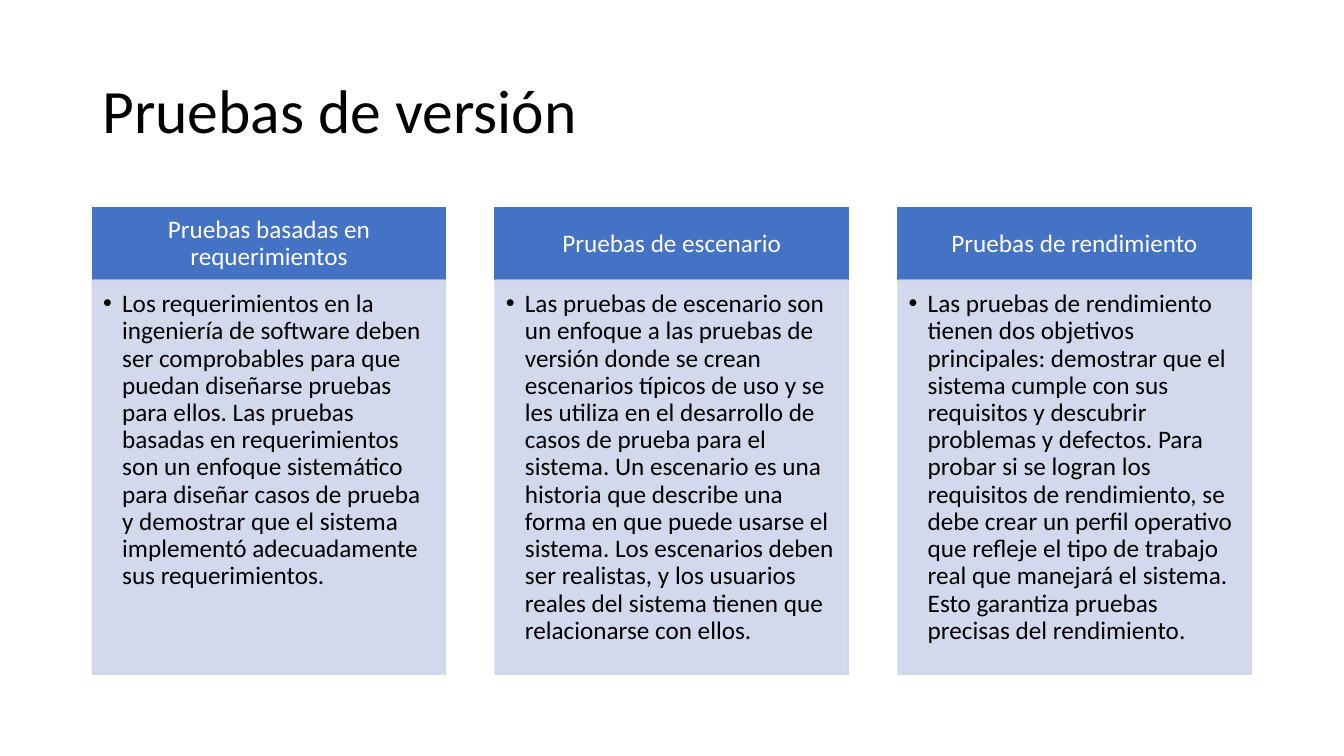
from dataclasses import dataclass

from lxml import etree
from pptx import Presentation
from pptx import util as u
from pptx.dml.color import RGBColor
from pptx.enum import shapes, text
from pptx.oxml import ns


@dataclass(frozen=True)
class Theme:
    font: str = "Calibri"
    ink: str = "000000"
    on_header: str = "FFFFFF"
    header: str = "4472C4"
    body: str = "CFD5EA"
    body_opacity: int = 90
    title_size: int = 44
    text_size: int = 18


THEME = Theme()
TITLE = "Pruebas de versión"
COLUMNS = [
    ("Pruebas basadas en requerimientos",
     "Los requerimientos en la ingeniería de software deben ser comprobables "
     "para que puedan diseñarse pruebas para ellos. Las pruebas basadas en "
     "requerimientos son un enfoque sistemático para diseñar casos de prueba y "
     "demostrar que el sistema implementó adecuadamente sus requerimientos."),
    ("Pruebas de escenario",
     "Las pruebas de escenario son un enfoque a las pruebas de versión donde se "
     "crean escenarios típicos de uso y se les utiliza en el desarrollo de casos "
     "de prueba para el sistema. Un escenario es una historia que describe una "
     "forma en que puede usarse el sistema. Los escenarios deben ser realistas, y "
     "los usuarios reales del sistema tienen que relacionarse con ellos."),
    ("Pruebas de rendimiento",
     "Las pruebas de rendimiento tienen dos objetivos principales: demostrar que "
     "el sistema cumple con sus requisitos y descubrir problemas y defectos. Para "
     "probar si se logran los requisitos de rendimiento, se debe crear un perfil "
     "operativo que refleje el tipo de trabajo real que manejará el sistema. Esto "
     "garantiza pruebas precisas del rendimiento."),
]


def write(sp, words, size, color, align, anchor, margins):
    """Fill a shape with one paragraph; margins are left, top, right, bottom in cm."""
    tf = sp.text_frame
    frame = {"word_wrap": True, "vertical_anchor": anchor}
    sides = ("left", "top", "right", "bottom")
    frame.update({f"margin_{side}": u.Cm(m) for side, m in zip(sides, margins)})
    for name, value in frame.items():
        setattr(tf, name, value)
    p = tf.paragraphs[0]
    p.alignment, p.line_spacing = align, 0.9
    r = p.add_run()
    r.text = words
    for name, value in {"name": THEME.font, "size": u.Pt(size)}.items():
        setattr(r.font, name, value)
    r.font.color.rgb = RGBColor.from_string(color)
    return p


def add_bullet(p, indent):
    pPr = p._p.get_or_add_pPr()
    pPr.set("marL", str(indent))
    pPr.set("indent", str(-indent))
    etree.SubElement(pPr, ns.qn("a:buFont")).set("typeface", "Arial")
    etree.SubElement(pPr, ns.qn("a:buChar")).set("char", "•")


def add_panel(slide, box, color, opacity=100):
    sp = slide.shapes.add_shape(shapes.MSO_SHAPE.RECTANGLE, *map(u.Cm, box))
    sp.shadow.inherit = False
    sp.fill.solid()
    sp.line.width = u.Pt(1)
    for paint in (sp.fill.fore_color, sp.line.color):
        paint.rgb = RGBColor.from_string(color)
    if opacity < 100:
        for clr in sp._element.spPr.iter(ns.qn("a:srgbClr")):
            etree.SubElement(clr, ns.qn("a:alpha")).set("val", str(opacity * 1000))
    return sp


def add_title(slide, box, words):
    sp = slide.shapes.add_textbox(*map(u.Cm, box))
    write(sp, words, THEME.title_size, THEME.ink, text.PP_ALIGN.LEFT,
          text.MSO_ANCHOR.MIDDLE, (0.25, 0.13, 0.25, 0.13))


def add_column(slide, box, heading, detail, header_height=1.83):
    left, top, width, height = box
    header = add_panel(slide, (left, top, width, header_height), THEME.header)
    write(header, heading, THEME.text_size, THEME.on_header, text.PP_ALIGN.CENTER,
          text.MSO_ANCHOR.MIDDLE, (0.36, 0.2, 0.36, 0.2))
    body = add_panel(slide, (left, top + header_height, width, height - header_height),
                     THEME.body, THEME.body_opacity)
    p = write(body, detail, THEME.text_size, THEME.ink, text.PP_ALIGN.LEFT,
              text.MSO_ANCHOR.TOP, (0.27, 0.27, 0.36, 0.41))
    add_bullet(p, u.Cm(0.48))


def add_columns(slide, box, columns, gap):
    left, top, width, height = box
    col_width = (width - gap * (len(columns) - 1)) / len(columns)
    for i, (heading, detail) in enumerate(columns):
        x = left + i * (col_width + gap)
        add_column(slide, (x, top, col_width, height), heading, detail)


def main():
    prs = Presentation()
    prs.slide_width, prs.slide_height = u.Cm(33.87), u.Cm(19.05)
    slide = prs.slides.add_slide(prs.slide_layouts[6])
    add_title(slide, (2.33, 1.01, 29.21, 3.68), TITLE)
    add_columns(slide, (2.33, 5.23, 29.2, 11.76), COLUMNS, gap=1.25)
    prs.save("out.pptx")


if __name__ == "__main__":
    main()
